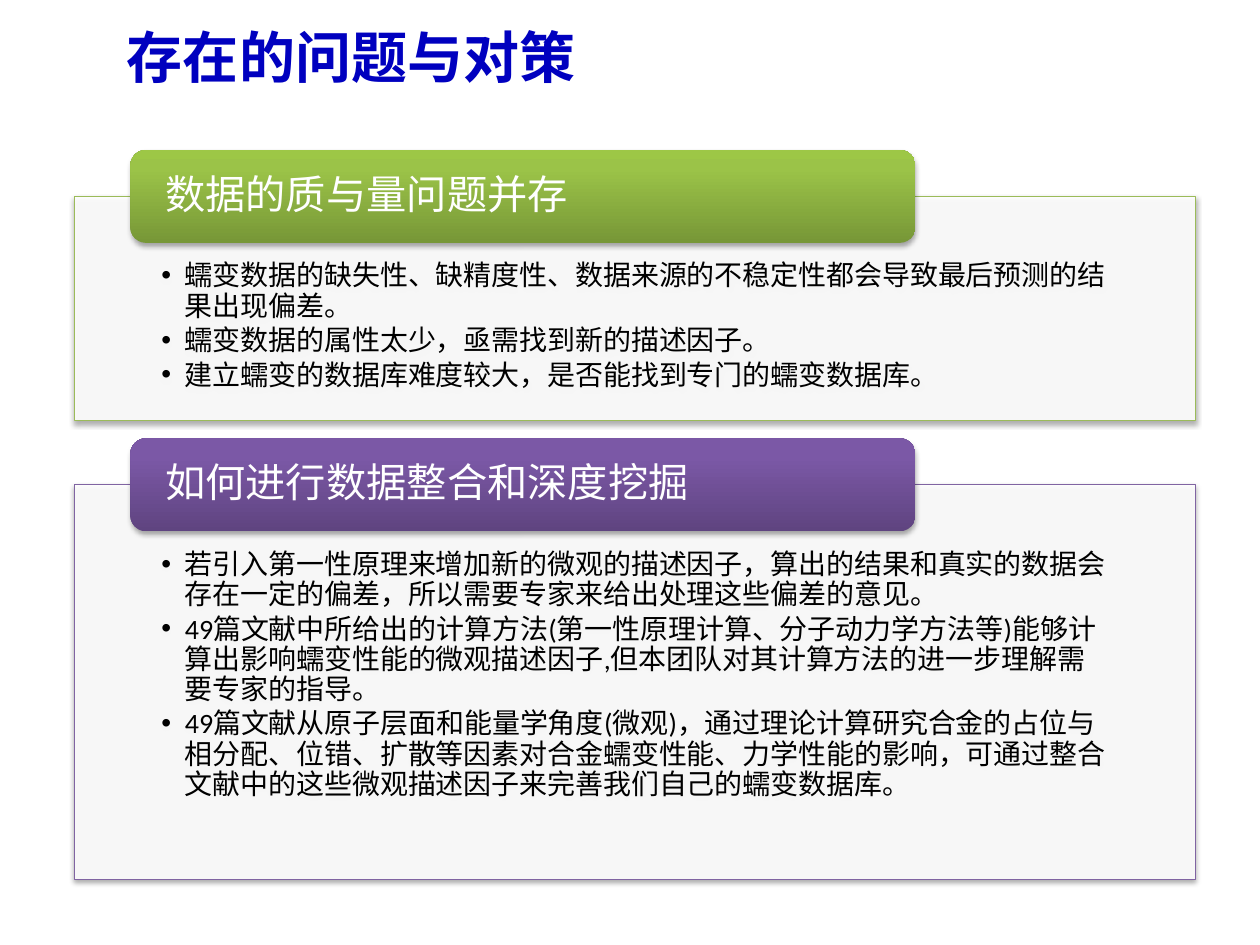
import pptx
import pptx.util
import pptx.dml.color
import pptx.enum.shapes
import pptx.enum.text
import pptx.oxml
import pptx.oxml.ns

Pt = pptx.util.Pt
Kind = pptx.enum.shapes.MSO_SHAPE
Anchor = pptx.enum.text.MSO_ANCHOR
Align = pptx.enum.text.PP_ALIGN
SPACE = pptx.oxml.ns.nsdecls("a")

TITLE = "存在的问题与对策"
PARTS = [
    {
        "head": "数据的质与量问题并存",
        "box": (42.5, 85.7, 640.8, 154.8),
        "line": "9BBB59",
        "stops": [(0, "779737"), (80, "9BC348"), (100, "9DC746")],
        "items": [
            "蠕变数据的缺失性、缺精度性、数据来源的不稳定性都会导致最后预测的结果出现偏差。",
            "蠕变数据的属性太少，亟需找到新的描述因子。",
            "建立蠕变的数据库难度较大，是否能找到专门的蠕变数据库。",
        ],
    },
    {
        "head": "如何进行数据整合和深度挖掘",
        "box": (42.5, 250.5, 640.8, 252),
        "line": "8064A2",
        "stops": [(0, "5F4480"), (80, "7B58A6"), (100, "7C57A8")],
        "items": [
            "若引入第一性原理来增加新的微观的描述因子，算出的结果和真实的数据会存在一定的偏差，所以需要专家来给出处理这些偏差的意见。",
            "49篇文献中所给出的计算方法(第一性原理计算、分子动力学方法等)能够计算出影响蠕变性能的微观描述因子,但本团队对其计算方法的进一步理解需要专家的指导。",
            "49篇文献从原子层面和能量学角度(微观)，通过理论计算研究合金的占位与相分配、位错、扩散等因素对合金蠕变性能、力学性能的影响，可通过整合文献中的这些微观描述因子来完善我们自己的蠕变数据库。",
        ],
    },
]


def hue(code):
    return pptx.dml.color.RGBColor.from_string(code)


def put(item, values):
    for name, value in values.items():
        setattr(item, name, value)


def node(text):
    return pptx.oxml.parse_xml(text.replace(" ", f" {SPACE} ", 1))


def write(frame, lines, form, code, para, inset, anchor):
    left, top, right, base = map(Pt, inset)
    put(frame, {
        "word_wrap": True, "vertical_anchor": anchor,
        "margin_left": left, "margin_top": top,
        "margin_right": right, "margin_bottom": base,
    })
    for spot, line in enumerate(lines):
        block = frame.add_paragraph() if spot else frame.paragraphs[0]
        put(block, {"alignment": Align.LEFT, **para})
        run = block.add_run()
        run.text = line
        put(run.font, form)
        run.font.color.rgb = hue(code)


def shade(shape):
    shape.shadow.inherit = False
    glow = node(
        f'<a:outerShdw blurRad="{Pt(3.1)}" dist="{Pt(1.8)}" dir="5400000" rotWithShape="0">'
        '<a:srgbClr val="000000"><a:alpha val="35000"/></a:srgbClr></a:outerShdw>'
    )
    shape.element.spPr.find(pptx.oxml.ns.qn("a:effectLst")).append(glow)


def blend(shape, stops):
    marks = "".join(
        f'<a:gs pos="{place * 1000}"><a:srgbClr val="{code}"/></a:gs>'
        for place, code in stops
    )
    shape.fill.background()
    old = shape.element.spPr.find(pptx.oxml.ns.qn("a:noFill"))
    new = node(
        f'<a:gradFill rotWithShape="1"><a:gsLst>{marks}</a:gsLst>'
        '<a:lin ang="16200000" scaled="0"/></a:gradFill>'
    )
    shape.element.spPr.replace(old, new)


def dot(block):
    props = block._p.get_or_add_pPr()
    props.set("marL", str(Pt(13.5)))
    props.set("indent", str(-Pt(13.5)))
    props.append(node('<a:buFont typeface="Arial"/>'))
    props.append(node('<a:buChar char="•"/>'))


def title(slide, box):
    shape = slide.shapes.add_textbox(*map(Pt, box))
    form = {"name": "Noto Sans CJK SC", "size": Pt(32), "bold": True}
    write(shape.text_frame, [TITLE], form, "0000BF", {},
          (7.2, 3.6, 7.2, 3.6), Anchor.MIDDLE)
    for run in shape.text_frame.paragraphs[0].runs:
        run.font._element.append(node('<a:ea typeface="Noto Sans CJK SC"/>'))


def panel(slide, box, part):
    shape = slide.shapes.add_shape(Kind.RECTANGLE, *map(Pt, box))
    shape.fill.solid()
    shape.fill.fore_color.rgb = hue("FFFFFF")
    tint = shape.element.spPr.find(".//" + pptx.oxml.ns.qn("a:srgbClr"))
    tint.append(node('<a:alpha val="90000"/>'))
    shape.line.color.rgb = hue(part["line"])
    shape.line.width = Pt(0.75)
    shade(shape)
    write(shape.text_frame, part["items"], {"name": "Calibri", "size": Pt(16)},
          "000000", {"line_spacing": 0.9, "space_after": Pt(2.4)},
          (49.7, 37.4, 49.7, 8.6), Anchor.TOP)
    for block in shape.text_frame.paragraphs:
        dot(block)


def banner(slide, box, part):
    shape = slide.shapes.add_shape(Kind.ROUNDED_RECTANGLE, *map(Pt, box))
    blend(shape, part["stops"])
    shape.line.fill.background()
    shade(shape)
    write(shape.text_frame, [part["head"]], {"name": "Calibri", "size": Pt(23)},
          "FFFFFF", {"line_spacing": 0.9}, (17.3, 0, 17.3, 0), Anchor.MIDDLE)


def topic(slide, box, part):
    left, top, width, height = box
    tall = 53.1
    drop = tall / 2
    panel(slide, (left, top + drop, width, height - drop), part)
    banner(slide, (left + width * 0.05, top, width * 0.7, tall), part)


def main():
    deck = pptx.Presentation()
    put(deck, {"slide_width": Pt(720), "slide_height": Pt(540)})
    slide = deck.slides.add_slide(deck.slide_layouts[6])
    title(slide, (65.5, 0.7, 648, 62.6))
    for part in PARTS:
        topic(slide, part["box"], part)
    deck.save("out.pptx")


if __name__ == "__main__":
    main()
